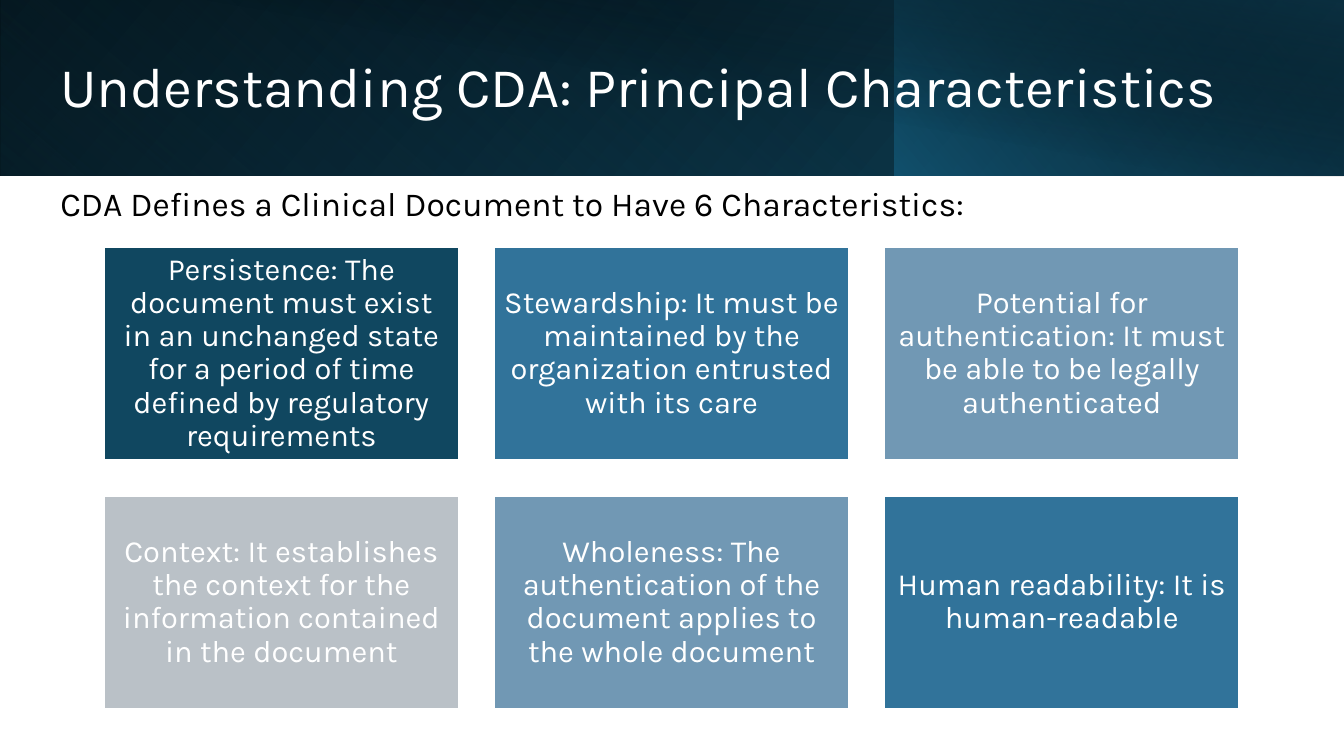
from lxml.etree import SubElement
from pptx import Presentation
from pptx.dml.color import RGBColor
from pptx.enum.shapes import MSO_SHAPE
from pptx.enum.text import MSO_ANCHOR, PP_ALIGN
from pptx.oxml.ns import qn
from pptx.util import Inches, Pt

FONT = "Karla"
WHITE = RGBColor(0xFF, 0xFF, 0xFF)
BLACK = RGBColor(0x00, 0x00, 0x00)
DEEP = RGBColor(0x10, 0x47, 0x60)
BLUE = RGBColor(0x31, 0x73, 0x9A)
STEEL = RGBColor(0x71, 0x98, 0xB4)
GRAY = RGBColor(0xBA, 0xC1, 0xC7)
TEAL = RGBColor(0x10, 0x48, 0x62)
OCEAN = RGBColor(0x15, 0x60, 0x82)
NAVY = RGBColor(0x0B, 0x30, 0x41)

BANDS = [
    ((0, 0, 13.33, 1.74), 0, True, 140, [(0, BLACK, 100), (100, TEAL, 100)]),
    ((0, 0, 8.88, 1.74), 180, True, 230, [(20, OCEAN, 0), (100, NAVY, 55)]),
    ((8.87, 0, 4.46, 1.74), 0, True, 220, [(0, OCEAN, 66), (100, BLACK, 30)]),
    ((0.5, 0, 12.83, 1.75), 0, False, 280, [(50, BLACK, 0), (99, NAVY, 52)]),
]

CARDS = [
    ("Persistence: The document must exist in an unchanged state for a period "
     "of time defined by regulatory requirements", DEEP),
    ("Stewardship: It must be maintained by the organization entrusted with "
     "its care", BLUE),
    ("Potential for authentication: It must be able to be legally "
     "authenticated", STEEL),
    ("Context: It establishes the context for the information contained in "
     "the document", GRAY),
    ("Wholeness: The authentication of the document applies to the whole "
     "document", STEEL),
    ("Human readability: It is human-readable", BLUE),
]


def add_rect(slide, box):
    rect = slide.shapes.add_shape(MSO_SHAPE.RECTANGLE, *map(Inches, box))
    rect.shadow.inherit = False
    return rect


def add_band(slide, box, turn, flip, angle, stops):
    band = add_rect(slide, box)
    band.line.fill.background()
    band.rotation = turn
    props = band._element.spPr
    if flip:
        props.xfrm.set("flipH", "1")
    grad = SubElement(props, qn("a:gradFill"), rotWithShape="1")
    marks = SubElement(grad, qn("a:gsLst"))
    for place, color, alpha in stops:
        mark = SubElement(marks, qn("a:gs"), pos=str(place * 1000))
        tint = SubElement(mark, qn("a:srgbClr"), val=str(color))
        SubElement(tint, qn("a:alpha"), val=str(alpha * 1000))
    SubElement(grad, qn("a:lin"), ang=str(angle * 60000), scaled="0")
    props.insert(2, grad)


def set_text(frame, text, size, color, anchor, align, space):
    frame.word_wrap = True
    frame.vertical_anchor = anchor
    para = frame.paragraphs[0]
    para.text = text
    para.alignment = align
    para.line_spacing = space
    para.font.name = FONT
    para.font.size = Pt(size)
    para.font.color.rgb = color


def add_label(slide, box, text, size, color, anchor, space):
    label = slide.shapes.add_textbox(*map(Inches, box))
    set_text(label.text_frame, text, size, color, anchor, PP_ALIGN.LEFT, space)


def add_card(slide, box, text, color):
    card = add_rect(slide, box)
    card.fill.solid()
    card.fill.fore_color.rgb = color
    card.line.color.rgb = WHITE
    card.line.width = Pt(1.5)
    frame = card.text_frame
    frame.margin_left = frame.margin_right = Inches(0.09)
    frame.margin_top = frame.margin_bottom = Inches(0.09)
    set_text(frame, text, 22, WHITE, MSO_ANCHOR.MIDDLE, PP_ALIGN.CENTER, 0.9)


def main():
    deck = Presentation()
    deck.slide_width = Inches(13.33)
    deck.slide_height = Inches(7.5)
    slide = deck.slides.add_slide(deck.slide_layouts[6])
    for band in BANDS:
        add_band(slide, *band)
    add_label(slide, (0.5, 0.32, 12.33, 1.13),
              "Understanding CDA: Principal Characteristics",
              40, WHITE, MSO_ANCHOR.MIDDLE, 0.9)
    for index, (text, color) in enumerate(CARDS):
        row, col = divmod(index, 3)
        box = (1.03 + col * 3.87, 2.45 + row * 2.47, 3.52, 2.11)
        add_card(slide, box, text, color)
    add_label(slide, (0.5, 1.77, 10.46, 0.81),
              "CDA Defines a Clinical Document to Have 6 Characteristics:",
              24, BLACK, MSO_ANCHOR.TOP, 1.0)
    deck.save("out.pptx")


if __name__ == "__main__":
    main()
